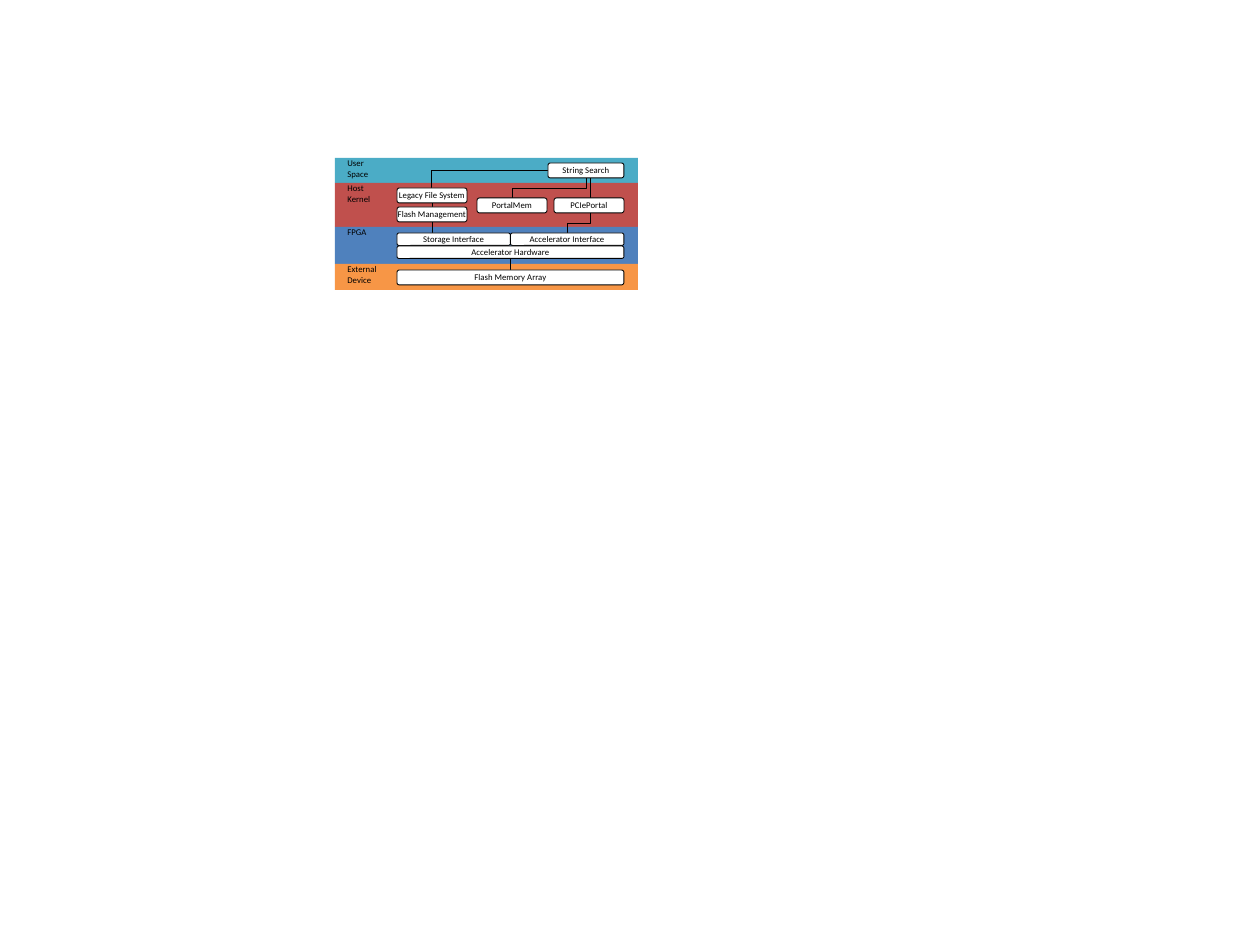
import pptx
import pptx.util
import pptx.dml.color
from pptx.enum.shapes import MSO_CONNECTOR, MSO_SHAPE
from pptx.enum.text import MSO_ANCHOR, PP_ALIGN
from lxml import etree

SCALE = 914400 / 126
A = "{http://schemas.openxmlformats.org/drawingml/2006/main}"


def px(n):
    """Turn pixels into EMU."""
    return pptx.util.Emu(round(n * SCALE))


def color(value):
    """Turn a hex string into a colour."""
    return pptx.dml.color.RGBColor.from_string(value)


def write(tf, text, font="Calibri", size=5, ink="000000", align=PP_ALIGN.LEFT,
          anchor=MSO_ANCHOR.TOP, wrap=True, bottom=0):
    """Fill a text frame, one paragraph per line."""
    tf.word_wrap = wrap
    tf.vertical_anchor = anchor
    tf.margin_left = tf.margin_right = pptx.util.Inches(0.1)
    tf.margin_top, tf.margin_bottom = 0, px(bottom)
    for i, line in enumerate(text.split("\n")):
        p = tf.add_paragraph() if i else tf.paragraphs[0]
        p.alignment = align
        r = p.add_run()
        r.text = line
        r.font.name = font
        r.font.size = pptx.util.Pt(size)
        r.font.color.rgb = color(ink)


class Diagram:
    """Style and slide of the layered stack."""
    ink = "000000"
    paper = "FFFFFF"
    weight = 0.5

    def __init__(self, s):
        """Keep the slide to draw on."""
        self.s = s

    def shape(self, kind, x, y, w, h, fill):
        """Add a flat filled shape without outline."""
        sp = self.s.shapes.add_shape(kind, px(x), px(y), px(w), px(h))
        sp.shadow.inherit = False
        sp.fill.solid()
        sp.fill.fore_color.rgb = color(fill)
        sp.line.fill.background()
        return sp

    def band(self, text, y, h, fill):
        """Add a layer with its label at top left."""
        sp = self.shape(MSO_SHAPE.RECTANGLE, 335, y, 303, h, fill)
        write(sp.text_frame, text)

    def box(self, text, x, y, w, h=15, bottom=0):
        """Add an outlined component with centred text."""
        sp = self.shape(MSO_SHAPE.ROUNDED_RECTANGLE, x, y, w, h, self.paper)
        self.stroke(sp.line)
        write(sp.text_frame, text, align=PP_ALIGN.CENTER,
              anchor=MSO_ANCHOR.MIDDLE, wrap=False, bottom=bottom)

    def stroke(self, line):
        """Apply the common line style."""
        line.color.rgb = color(self.ink)
        line.width = pptx.util.Pt(self.weight)

    def link(self, x1, y1, x2, y2, kind=MSO_CONNECTOR.STRAIGHT):
        """Add a connector without shadow."""
        c = self.s.shapes.add_connector(kind, px(x1), px(y1), px(x2), px(y2))
        self.stroke(c.line)
        etree.SubElement(c._element.spPr, A + "effectLst")
        return c

    def corner(self, x1, y1, x2, y2):
        """Add a connector that goes sideways, then down."""
        c = self.link(x1, y1, x2, y2, MSO_CONNECTOR.ELBOW)
        c._element.spPr.find(A + "prstGeom").set("prst", "bentConnector2")

    def step(self, x1, y1, x2, y2):
        """Add a connector that goes down, left and down again."""
        w, h = y2 - y1, x1 - x2
        left, top = (x1 + x2 - w) / 2, (y1 + y2 - h) / 2
        c = self.link(left, top, left + w, top + h, MSO_CONNECTOR.ELBOW)
        c._element.spPr.find(A + "xfrm").set("rot", str(90 * 60000))


prs = pptx.Presentation()
prs.slide_width, prs.slide_height = px(1260), px(945)
d = Diagram(prs.slides.add_slide(prs.slide_layouts[6]))

y = 158
for text, h, fill in [("User\nSpace", 25, "4BACC6"),
                      ("Host\nKernel", 44, "C0504D"),
                      ("FPGA", 37, "4F81BD"),
                      ("External\nDevice", 26, "F79646")]:
    d.band(text, y, h, fill)
    y += h

LEFT, FULL, SMALL = 397, 227, 70
HALF = FULL / 2
for x, y1, y2 in [(590, 178, 198), (432, 203, 207), (432, 222, 233),
                  (510, 258, 270)]:
    d.link(x, y1, x, y2)
d.corner(548, 170, 432, 188)
d.step(586, 178, 512, 198)
d.step(590, 213, 567, 233)

d.box("String Search", 548, 163, 76)
for text, x, y in [("Legacy File System", LEFT, 188),
                   ("Flash Management", LEFT, 207),
                   ("PortalMem", 477, 198), ("PCIePortal", 554, 198)]:
    d.box(text, x, y, SMALL)
for text, x, y, w in [("Storage Interface", LEFT, 233, HALF),
                      ("Accelerator Interface", LEFT + HALF, 233, HALF),
                      ("Accelerator Hardware", LEFT, 246, FULL)]:
    d.box(text, x, y, w, 12.5, bottom=1)
d.box("Flash Memory Array", LEFT, 270, FULL)

prs.save("out.pptx")
